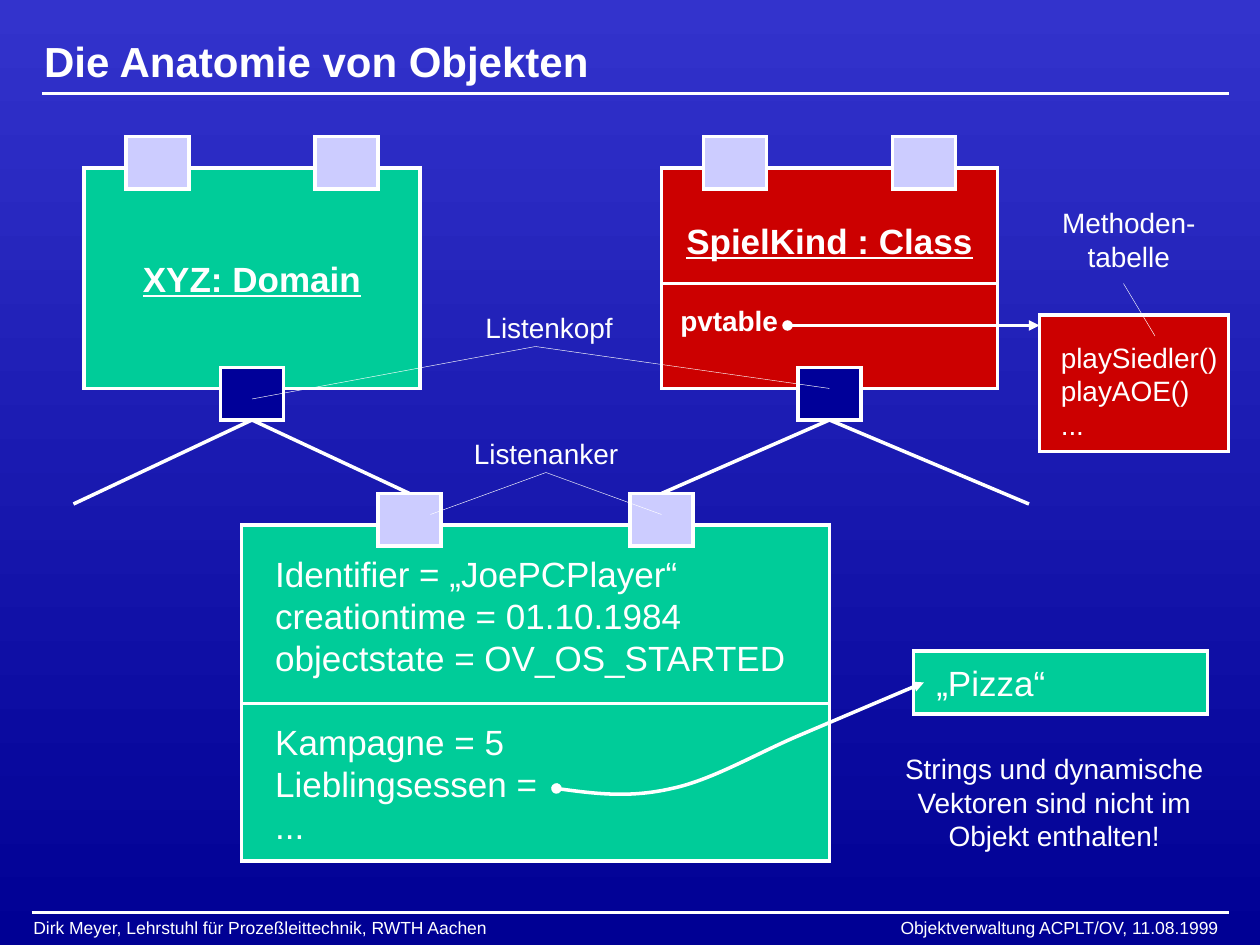
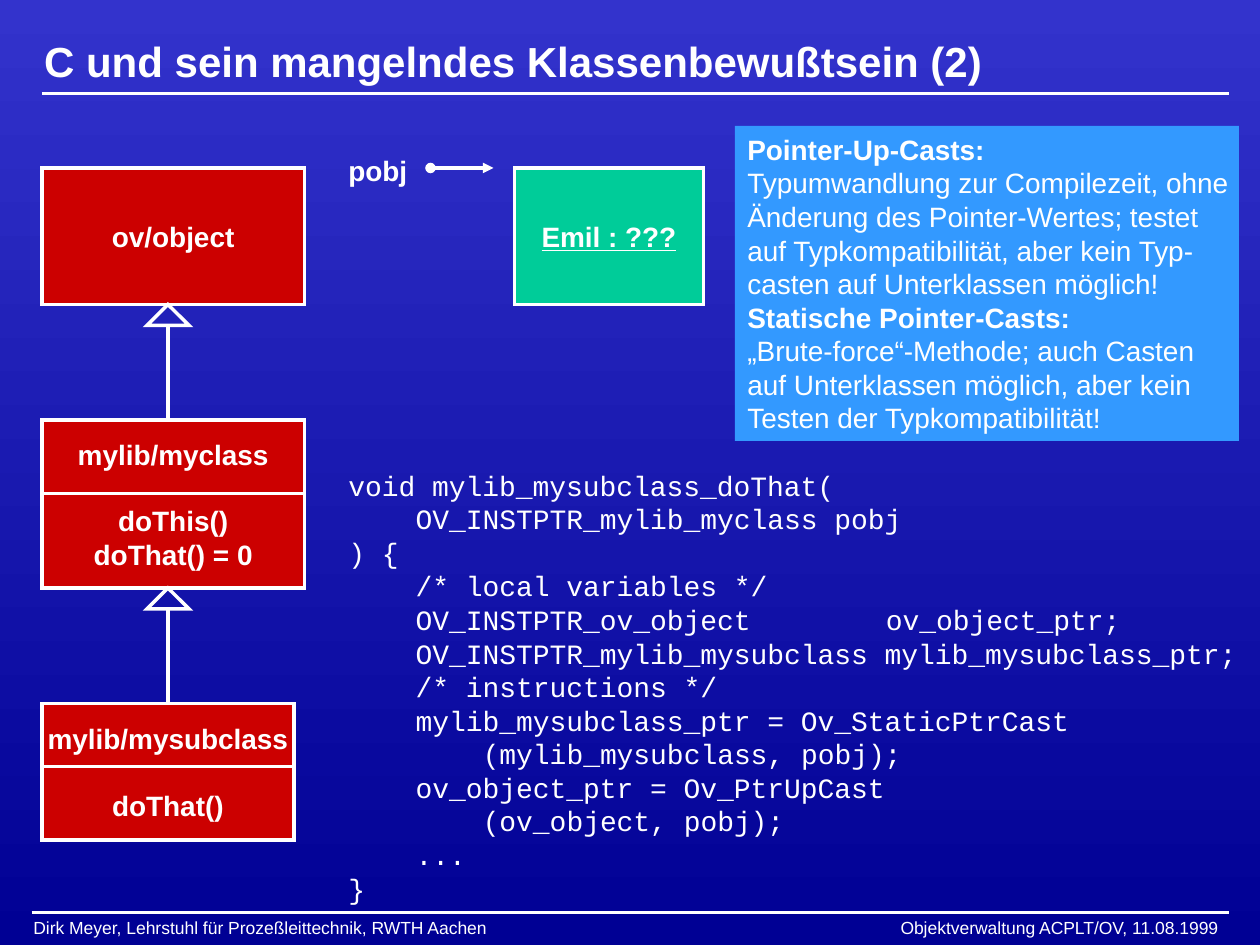
from dataclasses import dataclass
from lxml import etree
from pptx import Presentation, util as u
from pptx.dml.color import RGBColor
from pptx.enum import shapes, text
from pptx.oxml.ns import qn


@dataclass(frozen=True)
class Theme:
    white: str = "FFFFFF"
    top: str = "3333CC"
    base: str = "000094"
    red: str = "CC0000"
    green: str = "00CC99"
    navy: str = "000099"
    lilac: str = "CCCCFF"
    blue: str = "3399FF"
    sans: str = "Arial"
    mono: str = "Courier New"
    title: int = 24
    large: int = 20
    body: int = 16
    foot: int = 10
    thick: float = 2
    thin: float = 0.25


look = Theme()
grid = 2.54 / 12
kinds = shapes.MSO_SHAPE
mid, top = text.MSO_ANCHOR.MIDDLE, text.MSO_ANCHOR.TOP
left, center = text.PP_ALIGN.LEFT, text.PP_ALIGN.CENTER
white = RGBColor.from_string(look.white)


def box(pane, at, lines=(), fill=None, edge=True, kind=None, frame={}, tabs=(), align=center, **font):
    spot = [u.Cm(n * grid) for n in at]
    if fill or kind:
        item = pane.shapes.add_shape(kind or kinds.RECTANGLE, *spot)
        item.shadow.inherit = False
        item.fill.background()
        item.line.fill.background()
        if fill:
            item.fill.solid()
            item.fill.fore_color.rgb = RGBColor.from_string(fill)
        if edge:
            item.line.color.rgb = white
            item.line.width = u.Pt(look.thick)
            etree.SubElement(item.element.spPr.find(qn("a:ln")), qn("a:miter"), lim="800000")
    else:
        item = pane.shapes.add_textbox(*spot)
    body = item.text_frame
    for key, val in {"word_wrap": False, "vertical_anchor": mid if fill else top, **frame}.items():
        setattr(body, key, val)
    for i, line in enumerate(lines):
        words, own = line if isinstance(line, tuple) else (line, {})
        para = body.add_paragraph() if i else body.paragraphs[0]
        para.alignment = own.get("align", align)
        if "gap" in own:
            para.space_before = u.Pt(own["gap"])
        if tabs:
            stops = etree.SubElement(para._p.get_or_add_pPr(), qn("a:tabLst"))
            for pos, side in tabs:
                etree.SubElement(stops, qn("a:tab"), pos=str(u.Cm(pos)), algn=side)
        run = para.add_run()
        run.text = words
        style = {"name": look.sans, "size": look.body, **font, **own}
        style["size"] = u.Pt(style["size"])
        for key, val in style.items():
            if key not in ("align", "gap"):
                setattr(run.font, key, val)
        run.font.color.rgb = white
    return item


def link(pane, dots, width=look.thick, ends=False, start=None, stop=None):
    dots = [(u.Cm(x * grid), u.Cm(y * grid)) for x, y in dots]
    if len(dots) == 2:
        item = pane.shapes.add_connector(shapes.MSO_CONNECTOR.STRAIGHT, *dots[0], *dots[1])
        if start:
            item.begin_connect(*start)
        if stop:
            item.end_connect(*stop)
    else:
        draft = pane.shapes.build_freeform(*dots[0])
        draft.add_line_segments(dots[1:], close=False)
        item = draft.convert_to_shape()
        item.fill.background()
        trail = item.element.xpath(".//a:path")[0]
        for i, leg in enumerate(trail.findall(qn("a:lnTo"))):
            if i % 3 == 0:
                bend = etree.SubElement(trail, qn("a:cubicBezTo"))
            bend.append(leg[0])
            trail.remove(leg)
    item.line.color.rgb = white
    item.line.width = u.Pt(width)
    props = item.element.spPr
    if ends:
        for tag, tip in (("a:headEnd", "oval"), ("a:tailEnd", "triangle")):
            etree.SubElement(props.find(qn("a:ln")), qn(tag), type=tip)
    etree.SubElement(props, qn("a:effectLst"))
    return item


deck = Presentation()
deck.slide_width, deck.slide_height = u.Cm(25.4), u.Cm(19.05)
master = deck.slide_master
back = master.background.fill
back.gradient()
back.gradient_angle = 270
for stop, tone in zip(back.gradient_stops, (look.top, look.base)):
    stop.color.rgb = RGBColor.from_string(tone)

layout = deck.slide_layouts[5]
head = layout.placeholders[0]
for key, val in zip(("left", "top", "width", "height"), (3, 2.9, 114, 5.8)):
    setattr(head, key, u.Cm(val * grid))

panes = []
for name in ("Die Anatomie von Objekten", "C und sein mangelndes Klassenbewußtsein (2)"):
    pane = deck.slides.add_slide(layout)
    frame = pane.shapes.title.text_frame
    frame.text = name
    for key, val in {"word_wrap": True, "vertical_anchor": mid, "auto_size": text.MSO_AUTO_SIZE.NONE}.items():
        setattr(frame, key, val)
    para = frame.paragraphs[0]
    para.alignment = left
    font = para.runs[0].font
    for key, val in {"name": look.sans, "size": u.Pt(look.title), "bold": True}.items():
        setattr(font, key, val)
    font.color.rgb = white
    panes.append(pane)
first, second = panes

shared = [
    link(first, [(4, 8.9), (117, 8.9)]),
    box(first, (2, 86.7, 118, 3.2),
        ["Dirk Meyer, Lehrstuhl für Prozeßleittechnik, RWTH Aachen\tObjektverwaltung ACPLT/OV, 11.08.1999"],
        frame={"word_wrap": True}, tabs=[(23.88, "r")], align=left, size=look.foot),
    link(first, [(3, 86.9), (117, 86.9)]),
]
for num, item in enumerate(shared, 20):
    item.element.xpath(".//p:cNvPr")[0].set("id", str(num))
    master.shapes.element.append(item.element)

box(first, (99, 30, 18, 13), ["playSiedler()", "playAOE()", "..."], look.red, align=left,
    frame={"word_wrap": True, "vertical_anchor": top, "margin_left": u.Cm(0.43),
           "margin_top": u.Cm(0.51), "margin_right": 0})
box(first, (23, 50, 56, 32),
    ["Identifier = „JoePCPlayer“", "creationtime = 01.10.1984", "objectstate = OV_OS_STARTED",
     ("Kampagne = 5", {"gap": 24}), "Lieblingsessen =", "..."],
    look.green, align=left, size=look.large,
    frame={"word_wrap": True, "vertical_anchor": top, "margin_left": u.Cm(0.68),
           "margin_top": u.Cm(0.55), "margin_right": 0})
link(first, [(23, 67), (79, 67)])
box(first, (63, 16, 32, 21),
    [("SpielKind : Class", {"size": look.large, "underline": True}),
     ("pvtable", {"gap": 24, "align": left})],
    look.red, bold=True,
    frame={"word_wrap": True, "margin_left": u.Cm(0.38), "margin_right": u.Cm(0.38)})
box(first, (87, 62, 28, 6), ["„Pizza“"], look.green, align=left, size=look.large,
    frame={"word_wrap": True, "margin_left": u.Cm(0.46)})
link(first, [(53, 75.1), (56.6, 75.6), (60.1, 76), (64, 75.1), (67.8, 74.3), (72, 71.8),
             (76, 70.1), (80, 68.4), (84, 66.7), (88, 65)], ends=True)
box(first, (8, 16, 32, 21), ["XYZ: Domain"], look.green, size=look.large, bold=True, underline=True)

heads = [box(first, (x, 35, 6, 5), fill=look.navy) for x in (21, 76)]
hooks = [box(first, (x, 47, 6, 5), fill=look.lilac) for x in (36, 60)]
for x in (12, 30, 67, 85):
    box(first, (x, 13, 6, 5), fill=look.lilac)
for knob, hook, x, side in zip(heads, hooks, (24, 79), (7, 98)):
    link(first, [(x, 40), (x, 47)], start=(knob, 2), stop=(hook, 0))
    link(first, [(x, 40), (side, 48)], start=(knob, 2))

for at, lines in (
    ((84.4, 71, 32, 10.8), ["Strings und dynamische", "Vektoren sind nicht im", "Objekt enthalten!"]),
    ((43, 41, 18, 4.4), ["Listenanker"]),
    ((44.3, 29, 16, 4.4), ["Listenkopf"]),
    ((99.5, 19, 16, 7.7), ["Methoden-", "tabelle"]),
):
    box(first, at, lines)
for a, b in (((41, 49), (52, 45)), ((52, 45), (63, 49)), ((24, 38), (51, 33)),
             ((51, 33), (79, 37)), ((107, 27), (110, 32))):
    link(first, [a, b], look.thin)
link(first, [(63, 27), (95, 27)])
link(first, [(75, 31), (99, 31)], ends=True)

box(second, (4, 40, 25, 16), ["mylib/myclass", ("doThis()", {"gap": 19}), "doThat() = 0"], look.red, bold=True)
sub = box(second, (4, 67, 24, 13), ["mylib/mysubclass", ("doThat()", {"gap": 19})], look.red, bold=True)
box(second, (4, 16, 25, 13), ["ov/object"], look.red, bold=True)
link(second, [(4, 47), (29, 47)])
link(second, [(4, 73), (28, 73)])
for y, end, joint in ((29, 40, None), (56, 67, (sub, 0))):
    box(second, (14, y, 4, 2), kind=kinds.ISOSCELES_TRIANGLE)
    link(second, [(16, y + 2), (16, end)], stop=joint)
box(second, (49, 16, 18, 13), ["Emil : ???"], look.green, bold=True, underline=True)
box(second, (32, 14, 8, 4.4), ["pobj"], align=left, bold=True)
link(second, [(41, 16), (47, 16)], ends=True)

code = [
    "void mylib_mysubclass_doThat(",
    "\tOV_INSTPTR_mylib_myclass pobj",
    ") {",
    "\t/* local variables */",
    "\tOV_INSTPTR_ov_object\tov_object_ptr;",
    "\tOV_INSTPTR_mylib_mysubclass mylib_mysubclass_ptr;",
    "\t/* instructions */",
    "\tmylib_mysubclass_ptr = Ov_StaticPtrCast",
    "\t\t(mylib_mysubclass, pobj);",
    "\tov_object_ptr = Ov_PtrUpCast",
    "\t\t(ov_object, pobj);",
    "\t...",
    "}",
]
pitch = look.body * 0.6 * 2.54 / 72
box(second, (32, 44, 88, 42.8), code, frame={"word_wrap": True}, align=left, name=look.mono,
    tabs=[(n * pitch, "l") for n in (4, 8, 32)])

casts = [
    ("Pointer-Up-Casts:", {"bold": True}),
    "Typumwandlung zur Compilezeit, ohne",
    "Änderung des Pointer-Wertes; testet",
    "auf Typkompatibilität, aber kein Typ-",
    "casten auf Unterklassen möglich!",
    ("Statische Pointer-Casts:", {"bold": True}),
    "„Brute-force“-Methode; auch Casten",
    "auf Unterklassen möglich, aber kein",
    "Testen der Typkompatibilität!",
]
box(second, (70, 12, 48, 30), casts, look.blue, edge=False, align=left)

deck.save("out.pptx")
